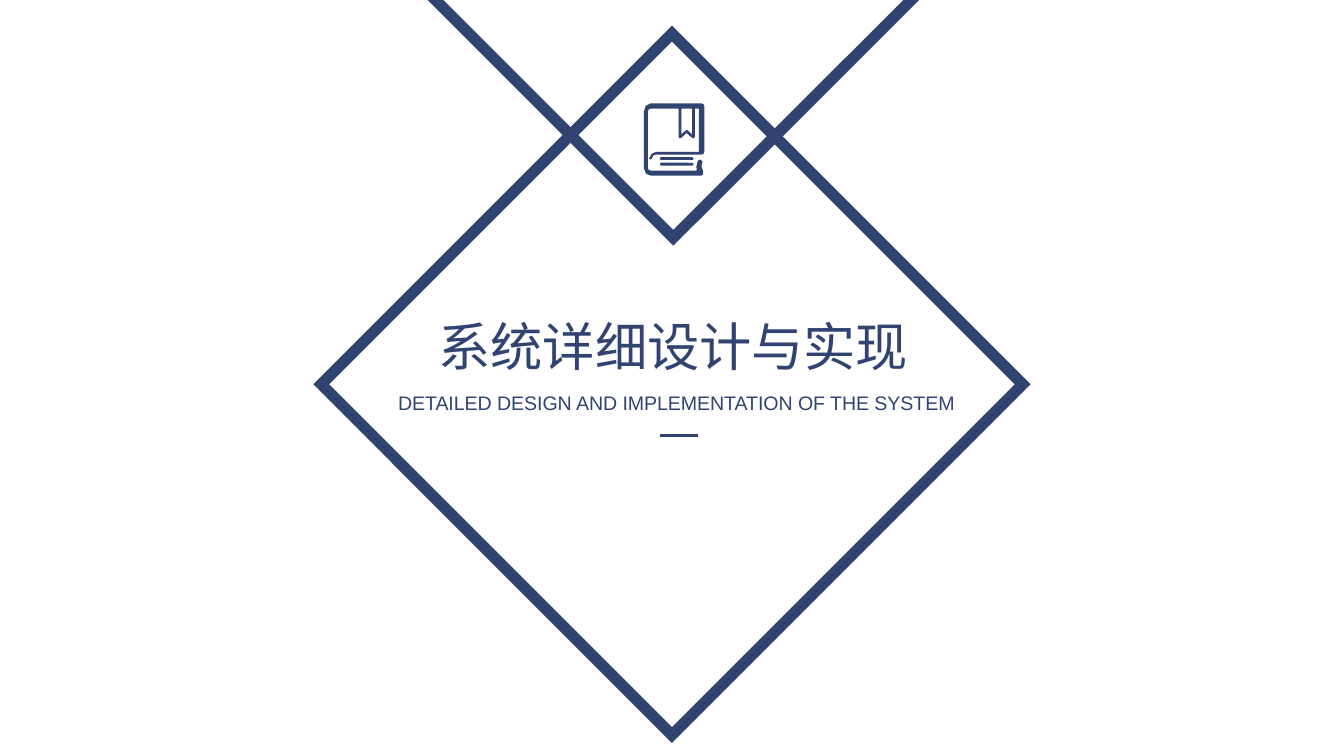
"""Build a section slide with linked diamonds, a book icon and a title."""
from dataclasses import dataclass

from lxml.etree import SubElement
from pptx import Presentation
from pptx.dml.color import RGBColor
from pptx.enum.shapes import MSO_CONNECTOR as Link, MSO_SHAPE as Kind
from pptx.enum.text import MSO_ANCHOR as Anchor, MSO_AUTO_SIZE as Fit, PP_ALIGN as Align
from pptx.oxml.ns import qn
from pptx.util import Pt

NAVY = "304371"
Points = list[tuple[float, float]]


@dataclass
class Box:
    left: float
    top: float
    width: float
    height: float

    def sizes(self) -> list[Pt]:
        return [Pt(n) for n in (self.left, self.top, self.width, self.height)]


BARS = [Box(353.5, 84.2, 18, 1.5), Box(353.5, 87.2, 18, 1.5)]
COVER = [
    (375.8, 82.8), (376.9, 82.4), (377.3, 81.4), (377.3, 56.9), (376.9, 55.8),
    (375.8, 55.4), (348.5, 55.4), (346, 56.7), (344.9, 59.8), (344.9, 90),
    (346, 93), (348.5, 94.1), (375.8, 94.1), (376.7, 93.2), (376.7, 91.6),
    (375.8, 89.3), (376, 87.8), (376.4, 86.6), (375.3, 85.5), (373.9, 86),
    (373.1, 89.3), (373.3, 91.4), (348.5, 91.4), (347.5, 91), (347.1, 90),
    (347.1, 59.8), (347.5, 58.7), (348.5, 58.2), (363.6, 58.2), (363.6, 73.4),
    (364, 74.1), (364.8, 74), (367.8, 71.3), (371, 74), (371.8, 74.1),
    (372.2, 73.4), (372.2, 58.2), (374.4, 58.2), (374.4, 81.4), (351.4, 81.4),
    (349, 82.5), (347.8, 85), (348.4, 85.6), (349.2, 85), (350, 83.4),
    (351.4, 82.8),
]
MARK = [(370.8, 72), (368.3, 69.8), (367.5, 69.8), (365, 72), (365, 58.2), (370.8, 58.2)]


def tint(code: str) -> RGBColor:
    return RGBColor.from_string(code)


def fill(shape, code: str) -> None:
    shape.shadow.inherit = False
    shape.fill.solid()
    shape.fill.fore_color.rgb = tint(code)
    shape.line.fill.background()


def stroke(shape, code: str, width: float) -> None:
    shape.shadow.inherit = False
    shape.fill.background()
    shape.line.color.rgb = tint(code)
    shape.line.width = Pt(width)
    SubElement(shape.line._get_or_add_ln(), qn("a:miter"), lim="800000")


def outline(shapes, first: Points, *rest: Points):
    (x, y), *tail = first
    pen = shapes.build_freeform(Pt(x), Pt(y))
    pen.add_line_segments([(Pt(a), Pt(b)) for a, b in tail])
    for (x, y), *tail in rest:
        pen.move_to(Pt(x), Pt(y))
        pen.add_line_segments([(Pt(a), Pt(b)) for a, b in tail])
    return pen.convert_to_shape()


def write(shape, text: str, *, size: float, font: str, color: str) -> None:
    frame = shape.text_frame
    frame.text = text
    frame.word_wrap = False
    frame.auto_size = Fit.SHAPE_TO_FIT_TEXT
    frame.vertical_anchor = Anchor.TOP
    para = frame.paragraphs[0]
    para.alignment = Align.CENTER
    run = para.runs[0]
    run.font.size = Pt(size)
    run.font.name = font
    run.font.color.rgb = tint(color)
    SubElement(run._r.get_or_add_rPr(), qn("a:ea"), typeface=font)


def main() -> None:
    deck = Presentation()
    deck.slide_width, deck.slide_height = Pt(720), Pt(405)
    slide = deck.slides.add_slide(deck.slide_layouts[5])
    shapes = slide.shapes

    title = shapes.title
    title.left, title.top, title.width, title.height = Box(226.1, 164.9, 269.3, 41).sizes()
    write(title, "系统详细设计与实现", size=28, font="Noto Sans CJK SC", color=NAVY)
    label = shapes.add_textbox(*Box(202.3, 205.9, 320.4, 20.2).sizes())
    write(label, "DETAILED DESIGN AND IMPLEMENTATION OF THE SYSTEM",
          size=10.5, font="Arial", color=NAVY)

    rule = shapes.add_connector(Link.STRAIGHT, Pt(353.5), Pt(233.3), Pt(373.7), Pt(233.3))
    rule.line.color.rgb = tint(NAVY)
    rule.line.width = Pt(1.5)
    SubElement(rule._element.spPr, qn("a:effectLst"))

    wedge = outline(shapes, [(196.6, -36.7), (524.9, -36.7), (360.7, 127.4), (196.6, -36.7)])
    stroke(wedge, NAVY, 6)
    frame = shapes.add_shape(Kind.DIAMOND, *Box(172.1, 18, 375.8, 375.8).sizes())
    stroke(frame, NAVY, 6)

    icon = shapes.add_group_shape().shapes
    for bar in BARS:
        pill = icon.add_shape(Kind.ROUNDED_RECTANGLE, *bar.sizes())
        pill.adjustments[0] = 0.5
        fill(pill, NAVY)
    fill(outline(icon, COVER, MARK), NAVY)

    deck.save("out.pptx")


if __name__ == "__main__":
    main()
